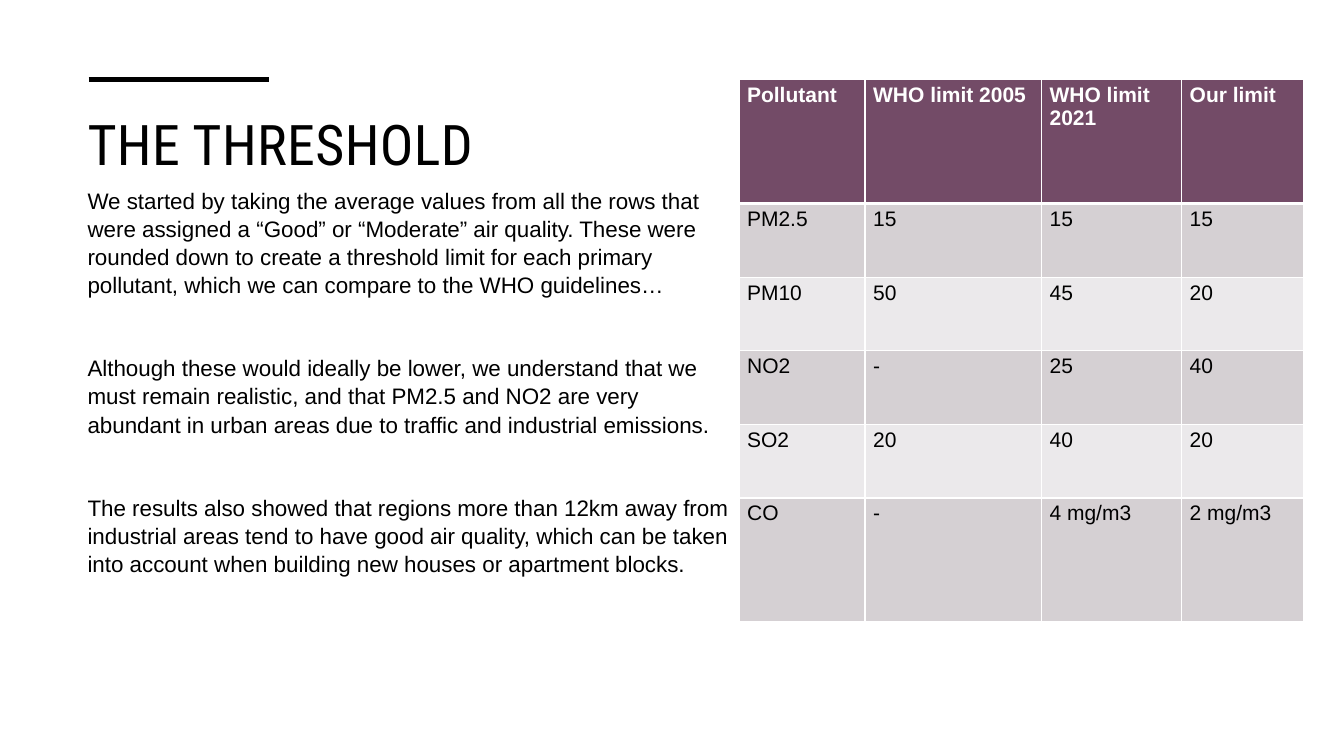
from lxml.etree import SubElement
from pptx import Presentation
from pptx.dml.color import RGBColor
from pptx.enum.shapes import MSO_CONNECTOR as Connector
from pptx.enum.text import MSO_ANCHOR as Anchor
from pptx.oxml.ns import qn
from pptx.util import Inches, Pt

COLORS = {
    "text": "000000",
    "white": "FFFFFF",
    "header": "734B67",
    "odd_row": "D5D0D3",
    "even_row": "EBE9EB",
}

EXPLANATION = [
    "We started by taking the average values from all the rows that were assigned a “Good” or “Moderate” "
    "air quality. These were rounded down to create a threshold limit for each primary pollutant, "
    "which we can compare to the WHO guidelines…",
    "Although these would ideally be lower, we understand that we must remain realistic, and that PM2.5 "
    "and NO2 are very abundant in urban areas due to traffic and industrial emissions.",
    "The results also showed that regions more than 12km away from industrial areas tend to have good air "
    "quality, which can be taken into account when building new houses or apartment blocks.",
]

LIMITS = [
    ["Pollutant", "WHO limit 2005", "WHO limit 2021", "Our limit"],
    ["PM2.5", "15", "15", "15"],
    ["PM10", "50", "45", "20"],
    ["NO2", "-", "25", "40"],
    ["SO2", "20", "40", "20"],
    ["CO", "-", "4 mg/m3", "2 mg/m3"],
]
COLUMN_WIDTHS = [1.25, 1.75, 1.39, 1.21]
ROW_HEIGHTS = [1.23, 0.73, 0.73, 0.73, 0.73, 1.23]


def color(name):
    return RGBColor.from_string(COLORS[name])


def set_font(paragraph, name, size, color_name="text", bold=False):
    font = paragraph.font
    font.name = name
    font.size = Pt(size)
    font.bold = bold
    font.color.rgb = color(color_name)


def add_text(slide, top, height, texts, font_name, size, gap=0):
    box = slide.shapes.add_textbox(Inches(0.77), Inches(top), Inches(6.56), Inches(height))
    frame = box.text_frame
    frame.word_wrap = True
    frame.vertical_anchor = Anchor.TOP
    for index, text in enumerate(texts):
        paragraph = frame.paragraphs[0] if index == 0 else frame.add_paragraph()
        paragraph.text = text
        paragraph.line_spacing = 1.05
        paragraph.space_before = Pt(gap if index else 0)
        set_font(paragraph, font_name, size)
    return box


def add_rule(slide):
    rule = slide.shapes.add_connector(
        Connector.STRAIGHT, Inches(0.88), Inches(0.79), Inches(2.67), Inches(0.79)
    )
    rule.line.color.rgb = color("text")
    rule.line.width = Pt(3.5)
    SubElement(rule._element.spPr, qn("a:effectLst"))


def add_borders(cell, row_index):
    widths = {"L": 1, "R": 1, "T": 3 if row_index == 1 else 1, "B": 3 if row_index == 0 else 1}
    properties = cell._tc.get_or_add_tcPr()
    for side, width in widths.items():
        border = SubElement(properties, qn(f"a:ln{side}"), w=str(Pt(width)))
        fill = SubElement(border, qn("a:solidFill"))
        SubElement(fill, qn("a:srgbClr"), val=COLORS["white"])


def fill_cell(cell, text, row_index):
    is_header = row_index == 0
    cell.text = text
    cell.margin_left = cell.margin_right = Inches(0.08)
    cell.margin_top = cell.margin_bottom = Inches(0.04)
    set_font(cell.text_frame.paragraphs[0], "Arial", 15, "white" if is_header else "text", is_header)
    add_borders(cell, row_index)
    cell.fill.solid()
    row_color = "odd_row" if row_index % 2 else "even_row"
    cell.fill.fore_color.rgb = color("header" if is_header else row_color)


def add_limits_table(slide):
    table = slide.shapes.add_table(
        len(LIMITS), len(COLUMN_WIDTHS), Inches(7.33), Inches(0.79),
        Inches(sum(COLUMN_WIDTHS)), Inches(sum(ROW_HEIGHTS)),
    ).table
    for column, width in zip(table.columns, COLUMN_WIDTHS):
        column.width = Inches(width)
    for row_index, (row, height) in enumerate(zip(table.rows, ROW_HEIGHTS)):
        row.height = Inches(height)
        for cell, text in zip(row.cells, LIMITS[row_index]):
            fill_cell(cell, text, row_index)


def main():
    presentation = Presentation()
    presentation.slide_width = Inches(13.33)
    presentation.slide_height = Inches(7.5)
    slide = presentation.slides.add_slide(presentation.slide_layouts[6])
    title = add_text(slide, 1, 1.43, ["THE THRESHOLD"], "Roboto Condensed", 40)
    title.text_frame.paragraphs[0].runs[0].font._element.set("spc", "30")
    add_text(slide, 1.79, 4.95, EXPLANATION, "Arial", 16, gap=39.3)
    add_rule(slide)
    add_limits_table(slide)
    presentation.save("out.pptx")


if __name__ == "__main__":
    main()
